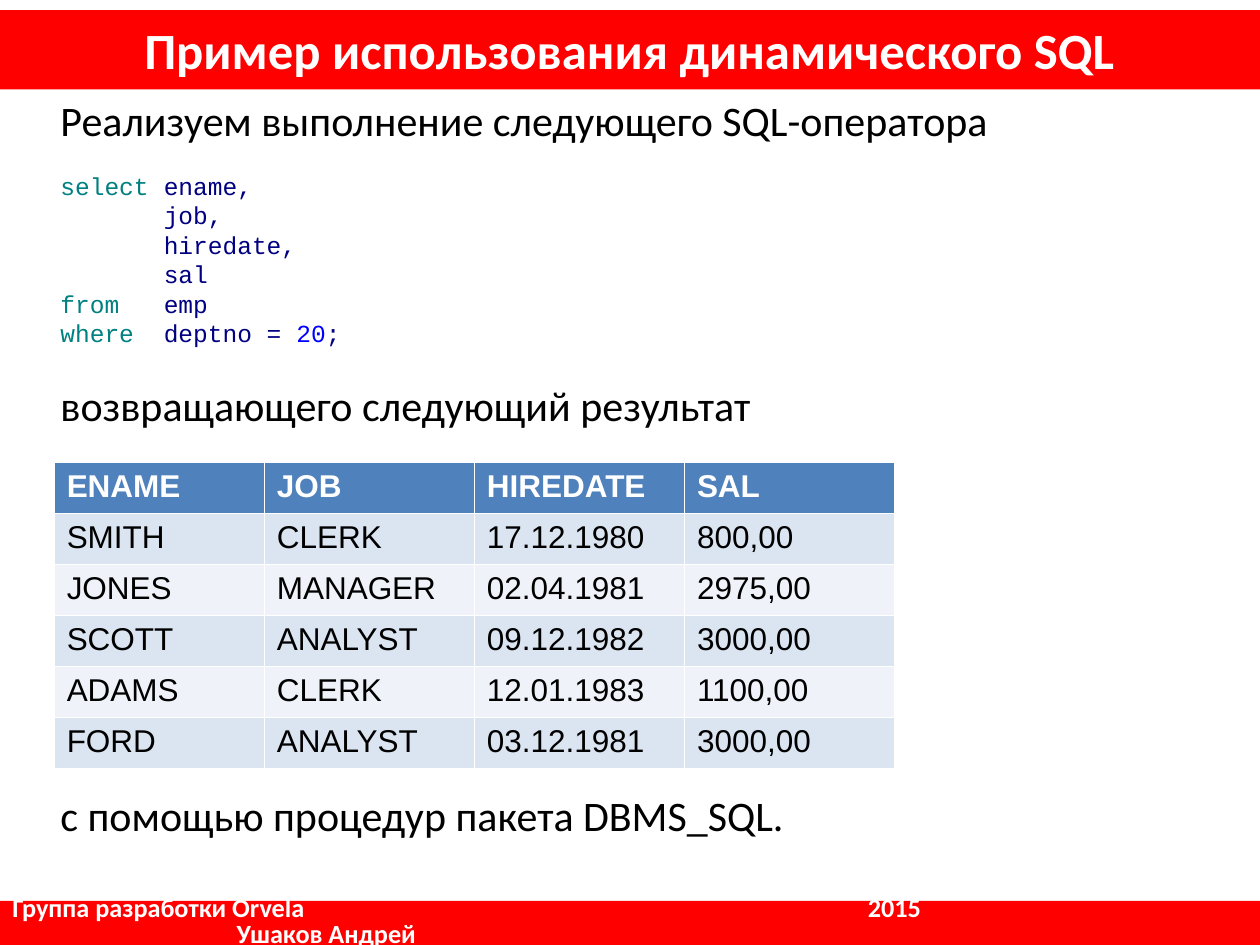
from lxml.etree import SubElement
from pptx import Presentation
from pptx.dml.color import RGBColor
from pptx.enum.shapes import MSO_SHAPE as Shape
from pptx.enum.text import MSO_ANCHOR as Anchor, PP_ALIGN as Align
from pptx.oxml.ns import qn
from pptx.util import Inches, Pt

RED = RGBColor(0xFF, 0x00, 0x00)
WHITE = RGBColor(0xFF, 0xFF, 0xFF)
BLACK = RGBColor(0x00, 0x00, 0x00)
TEAL = RGBColor(0x00, 0x80, 0x80)
NAVY = RGBColor(0x00, 0x00, 0x80)
BLUE = RGBColor(0x00, 0x00, 0xFF)
HEADER = RGBColor(0x4F, 0x81, 0xBD)
BANDS = [RGBColor(0xEF, 0xF3, 0xF9), RGBColor(0xDB, 0xE5, 0xF1)]

deck = Presentation()
deck.slide_width, deck.slide_height = Inches(10), Inches(7.5)
page = deck.slides.add_slide(deck.slide_layouts[6])

# Grid of 100 columns by 150 rows
COL, ROW = deck.slide_width // 100, deck.slide_height // 150


def add_span(para, text, **font):
    """Append text to a paragraph; font holds name, size, bold and color."""
    span = para.add_run()
    span.text = text
    span.font.color.rgb = font.pop("color")
    for key, value in font.items():
        setattr(span.font, key, value)


def set_tabs(para, *columns):
    """Set left tab stops, measured in grid columns."""
    stops = SubElement(para._p.get_or_add_pPr(), qn("a:tabLst"))
    for column in columns:
        SubElement(stops, qn("a:tab"), pos=str(int(column * COL)), algn="l")


# Title and footer bars
bars = []
for top, height in [(1.6, 12.6), (143, 7)]:
    bar = page.shapes.add_shape(
        Shape.RECTANGLE, 0, int(top * ROW), 100 * COL, int(height * ROW))
    bar.shadow.inherit = False
    bar.fill.solid()
    bar.fill.fore_color.rgb = RED
    bar.line.fill.background()
    bar.text_frame.word_wrap = True
    bar.text_frame.vertical_anchor = Anchor.MIDDLE
    bars.append(bar.text_frame.paragraphs[0])

title, footer = bars
bar_font = {"name": "Calibri", "bold": True, "color": WHITE}
title.alignment = Align.CENTER
add_span(title, "Пример использования динамического SQL", size=Pt(29), **bar_font)

footer.alignment = Align.LEFT
footer.line_spacing = 0.8
set_tabs(footer, 17.8, 67.9)
add_span(footer, "Группа разработки Orvela\t2015", size=Pt(15), **bar_font)
footer.add_line_break()
add_span(footer, "\tУшаков Андрей", size=Pt(15), **bar_font)

# Body: sentences around the query, with room for the table
prose = {"name": "Calibri", "size": Pt(24)}
code = {"name": "Courier New", "size": Pt(14)}
body = [
    (prose, 0, [("Реализуем выполнение следующего SQL-оператора", BLACK)]),
    (code, 15, [("select", TEAL), ("\tename,", NAVY)]),
    (code, 0, [("\tjob,", NAVY)]),
    (code, 0, [("\thiredate,", NAVY)]),
    (code, 0, [("\tsal", NAVY)]),
    (code, 0, [("from", TEAL), ("\temp", NAVY)]),
    (code, 0, [("where", TEAL), ("\tdeptno = ", NAVY), ("20", BLUE), (";", NAVY)]),
    (prose, 18, [("возвращающего следующий результат", BLACK)]),
    (prose, 205.6, [("с помощью процедур пакета DBMS_SQL.", BLACK)]),
]
box = page.shapes.add_textbox(0, 14 * ROW, 100 * COL, 128 * ROW)
frame = box.text_frame
frame.word_wrap = True
frame.margin_left = int(4.8 * COL)
for index, (font, gap, spans) in enumerate(body):
    para = frame.add_paragraph() if index else frame.paragraphs[0]
    para.space_before = Pt(gap)
    if font is code:
        para.line_spacing = Pt(16.8)
        set_tabs(para, 8.2)
    for text, color in spans:
        add_span(para, text, color=color, **font)

# Query result
records = [
    ("ENAME", "JOB", "HIREDATE", "SAL"),
    ("SMITH", "CLERK", "17.12.1980", "800,00"),
    ("JONES", "MANAGER", "02.04.1981", "2975,00"),
    ("SCOTT", "ANALYST", "09.12.1982", "3000,00"),
    ("ADAMS", "CLERK", "12.01.1983", "1100,00"),
    ("FORD", "ANALYST", "03.12.1981", "3000,00"),
]
table = page.shapes.add_table(
    len(records), len(records[0]), int(4.3 * COL), int(73.4 * ROW),
    int(66.7 * COL), int(48.6 * ROW)).table
for r, record in enumerate(records):
    for c, value in enumerate(record):
        cell = table.cell(r, c)
        cell.fill.solid()
        cell.fill.fore_color.rgb = BANDS[r % 2] if r else HEADER
        add_span(cell.text_frame.paragraphs[0], value, name="Arial", size=Pt(18),
                 bold=r == 0, color=BLACK if r else WHITE)

deck.save("out.pptx")
